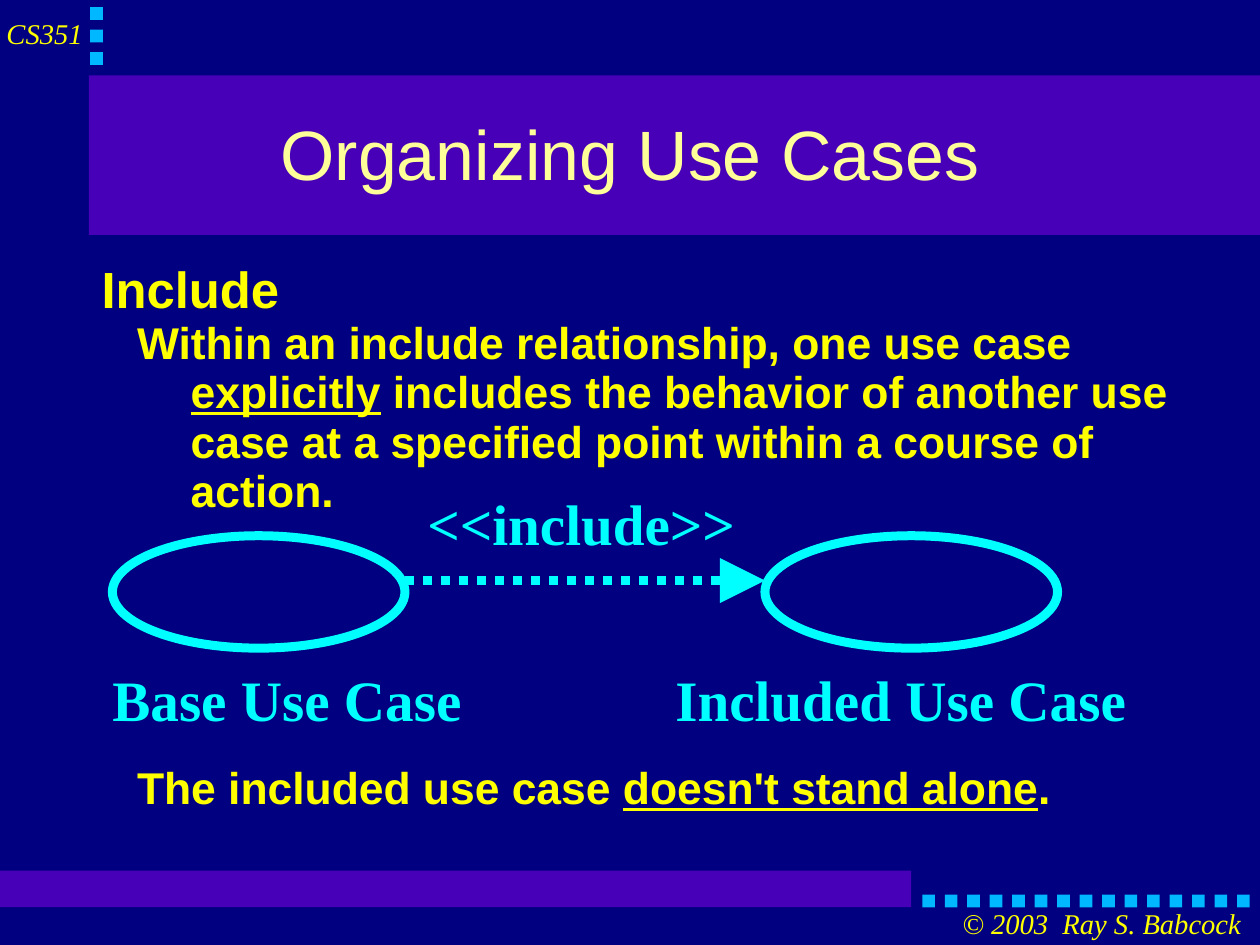
from dataclasses import dataclass

from lxml import etree
from pptx import Presentation
from pptx.dml.color import RGBColor
from pptx.enum.dml import MSO_LINE
from pptx.enum.shapes import MSO_CONNECTOR, MSO_SHAPE
from pptx.enum.text import MSO_ANCHOR, PP_ALIGN
from pptx.oxml.ns import qn
from pptx.util import Pt

RECTANGLE = MSO_SHAPE.RECTANGLE
OVAL = MSO_SHAPE.OVAL
STRAIGHT = MSO_CONNECTOR.STRAIGHT
DOTTED = MSO_LINE.ROUND_DOT
TOP, MIDDLE = MSO_ANCHOR.TOP, MSO_ANCHOR.MIDDLE
LEFT, CENTER = PP_ALIGN.LEFT, PP_ALIGN.CENTER


@dataclass(frozen=True)
class Theme:
    """Colours, fonts and sizes of the course slides."""

    navy: str = "000080"
    violet: str = "4700B8"
    sky: str = "00B8FF"
    cyan: str = "00FFFF"
    yellow: str = "FFFF00"
    cream: str = "FFFF99"
    sans: str = "Arial"
    serif: str = "Times New Roman"
    title: float = 44
    label: float = 36
    heading: float = 32
    body: float = 28
    small: float = 18
    stroke: float = 5.67
    line_spacing: float = 0.93


THEME = Theme()
WIDTH, HEIGHT = 793.7, 595.28
TITLE = {"name": THEME.sans, "size": Pt(THEME.title), "color": THEME.cream}
HEADING = {"name": THEME.sans, "size": Pt(THEME.heading), "bold": True, "color": THEME.yellow}
BODY = {**HEADING, "size": Pt(THEME.body)}
STRESSED = {**BODY, "underline": True}
LABEL = {"name": THEME.serif, "size": Pt(THEME.label), "bold": True, "color": THEME.cyan}
SMALL = {"name": THEME.serif, "size": Pt(THEME.small), "italic": True, "color": THEME.yellow}


def rgb(code):
    """Return the colour for a hex code."""
    return RGBColor.from_string(code)


def add_block(slide, box, color):
    """Add a plain filled rectangle."""
    block = slide.shapes.add_shape(RECTANGLE, *map(Pt, box))
    block.shadow.inherit = False
    block.fill.solid()
    block.fill.fore_color.rgb = rgb(color)
    block.line.fill.background()


def add_squares(slide, box, count, step_x, step_y):
    """Add a row or column of equal squares starting at the box."""
    left, top, width, height = box
    for i in range(count):
        add_block(slide, (left + i * step_x, top + i * step_y, width, height), THEME.sky)


def add_frame(slide, box, anchor=TOP):
    """Add a wrapping text box without margins and return its frame."""
    frame = slide.shapes.add_textbox(*map(Pt, box)).text_frame
    settings = {"word_wrap": True, "vertical_anchor": anchor, "margin_left": 0,
                "margin_right": 0, "margin_top": 0, "margin_bottom": 0}
    for name, value in settings.items():
        setattr(frame, name, value)
    return frame


def write(paragraph, runs, align=LEFT, before=0):
    """Fill a paragraph with formatted runs."""
    paragraph.alignment = align
    paragraph.line_spacing = THEME.line_spacing
    paragraph.space_before = Pt(before)
    for text, style in runs:
        run = paragraph.add_run()
        run.text = text
        for name, value in style.items():
            if name == "color":
                run.font.color.rgb = rgb(value)
            else:
                setattr(run.font, name, value)


def add_label(slide, box, text, style, align=LEFT, anchor=TOP):
    """Add a text box holding one paragraph."""
    write(add_frame(slide, box, anchor).paragraphs[0], [(text, style)], align)


def add_header(slide, box):
    """Add the course code, its squares and the title band."""
    left, top, width, height = box
    add_block(slide, (left + 56, top + 47.5, width - 56, height - 47.5), THEME.violet)
    add_squares(slide, (left + 56.8, top + 4.5, 8, 8), 3, 0, 14.2)
    add_label(slide, (left + 4.1, top + 12.2, 52.5, 20), "CS351", SMALL)
    add_label(slide, (left + 58.3, top + 49.3, 677.5, 99.4), "Organizing Use Cases",
              TITLE, CENTER, MIDDLE)


def add_footer(slide, box):
    """Add the bottom band, its squares and the copyright line."""
    left, top, width, height = box
    add_block(slide, (left, top, 574, 23), THEME.violet)
    add_squares(slide, (left + 581, top + 15.2, 8, 8), 15, 14.16, 0)
    add_label(slide, (left + 606.2, top + 24, 180, 20), "© 2003  Ray S. Babcock", SMALL)


def add_explanation(slide, box):
    """Add the heading and the two statements around the diagram."""
    frame = add_frame(slide, box)
    statements = [
        (39.6, 0, [("Include", HEADING)]),
        (61.9, 0, [("Within an include relationship, one use case ", BODY),
                   ("explicitly", STRESSED),
                   (" includes the behavior of another use case at a specified point "
                    "within a course of action.", BODY)]),
        (61.9, 155.8, [("The included use case ", BODY),
                       ("doesn't stand alone", STRESSED), (".", BODY)]),
    ]
    for i, (margin, before, runs) in enumerate(statements):
        paragraph = frame.add_paragraph() if i else frame.paragraphs[0]
        write(paragraph, runs, before=before)
        properties = paragraph._p.get_or_add_pPr()
        properties.set("marL", str(Pt(margin)))
        properties.set("indent", str(Pt(-33.8)))


def style_stroke(line):
    """Give an outline the diagram's colour and weight."""
    line.color.rgb = rgb(THEME.cyan)
    line.width = Pt(THEME.stroke)


def add_diagram(slide, box):
    """Add both use cases, their labels and the include arrow."""
    left, top, width, height = box
    oval_width, oval_height = 184.3, 70.8
    included_left = left + width - oval_width
    for oval_left in (left, included_left):
        use_case = slide.shapes.add_shape(
            OVAL, *map(Pt, (oval_left, top + 26, oval_width, oval_height)))
        use_case.shadow.inherit = False
        use_case.fill.background()
        style_stroke(use_case.line)

    arrow_y = top + 54.2
    include = slide.shapes.add_connector(
        STRAIGHT, *map(Pt, (left + oval_width, arrow_y, included_left, arrow_y)))
    style_stroke(include.line)
    include.line.dash_style = DOTTED
    etree.SubElement(include.line._get_or_add_ln(), qn("a:tailEnd"),
                     type="triangle", w="lg", len="lg")
    etree.SubElement(include._element.spPr, qn("a:effectLst"))

    labels = [("<<include>>", 198.4, 0, 198.7),
              ("Base Use Case", 0, 111, 283.7),
              ("Included Use Case", 354.6, 111, 297.4)]
    for text, x, y, label_width in labels:
        add_label(slide, (left + x, top + y, label_width, 40), text, LABEL)


def main():
    """Build the slide and save it."""
    deck = Presentation()
    deck.slide_width, deck.slide_height = Pt(WIDTH), Pt(HEIGHT)
    slide = deck.slides.add_slide(deck.slide_layouts[6])
    slide.background.fill.solid()
    slide.background.fill.fore_color.rgb = rgb(THEME.navy)
    add_header(slide, (0, 0, WIDTH, 148))
    add_footer(slide, (0, 548.4, WIDTH, 46.88))
    add_explanation(slide, (58.2, 165.5, 677.5, 381.6))
    add_diagram(slide, (70.8, 311.5, 595.4, 151.2))
    deck.save("out.pptx")


if __name__ == "__main__":
    main()
